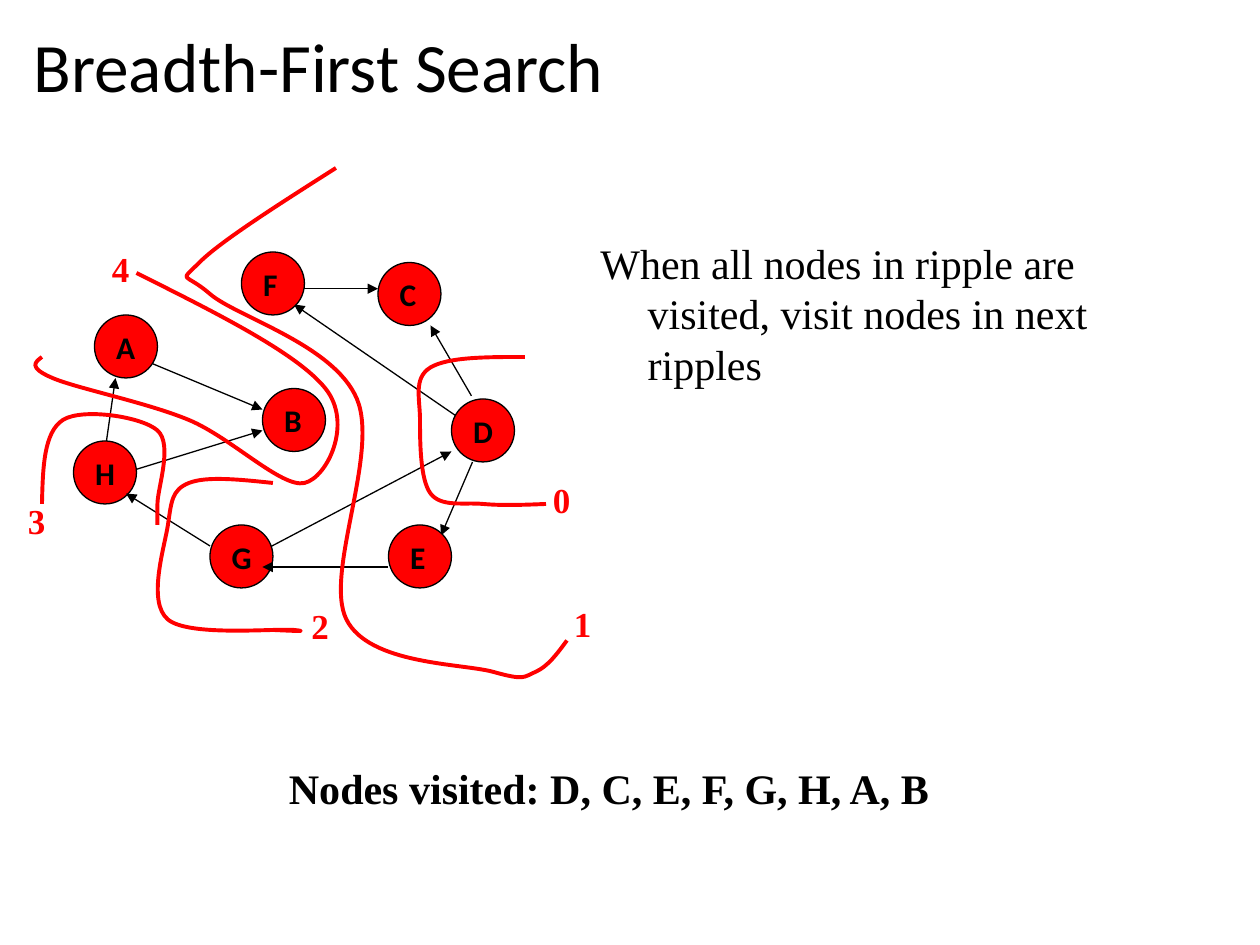
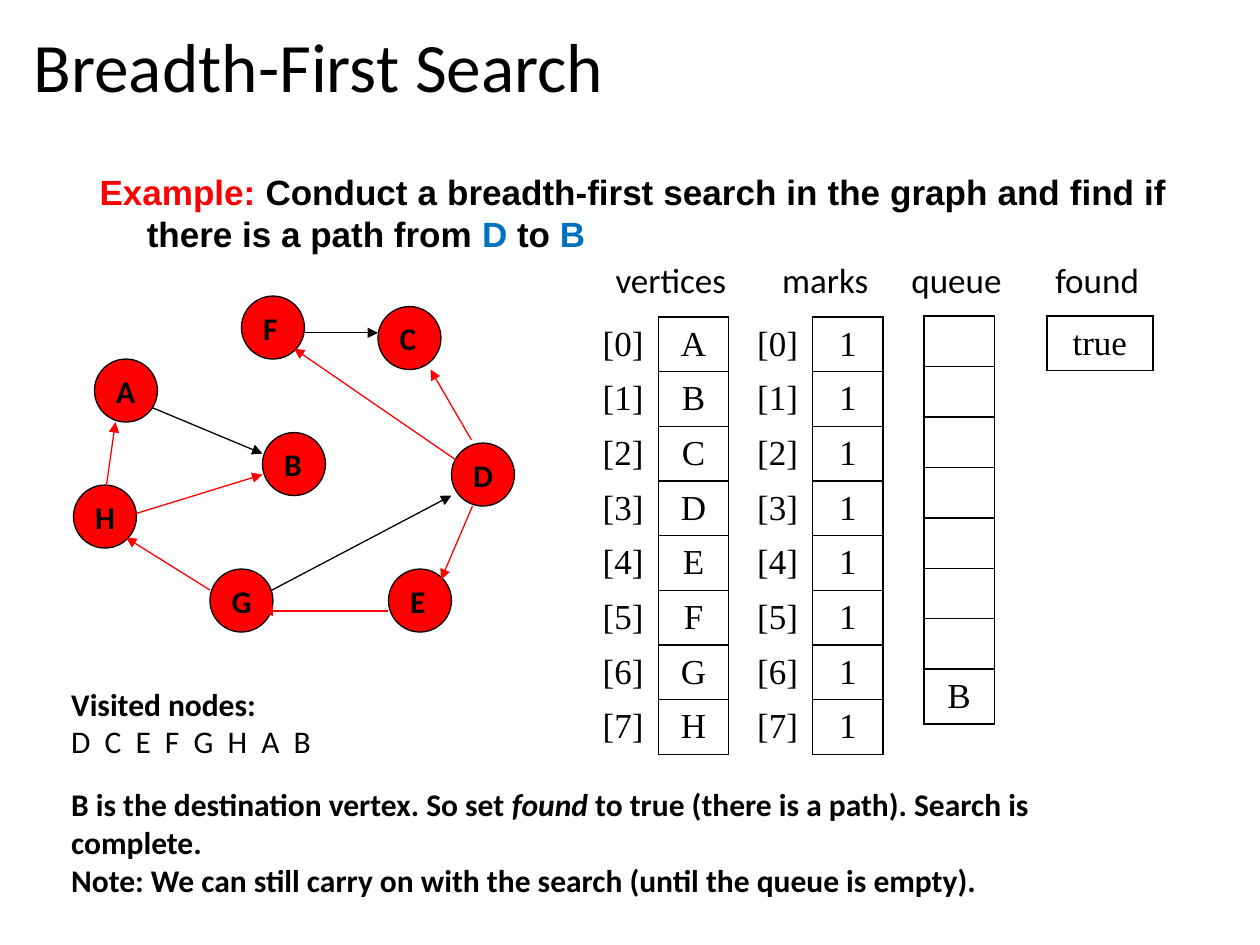
from dataclasses import dataclass
from typing import NamedTuple, Optional

from lxml.etree import SubElement
from pptx import Presentation
from pptx.dml.color import RGBColor
from pptx.enum.shapes import MSO_CONNECTOR as Connector, MSO_SHAPE as Shape
from pptx.enum.text import MSO_ANCHOR as Anchor, MSO_AUTO_SIZE as AutoSize, PP_ALIGN as Align
from pptx.oxml.ns import qn
from pptx.util import Emu, Inches, Pt

COLORS = {"ink": "000000", "red": "FF0000", "blue": "0070C0"}
SANS, SERIF, ARIAL = "Calibri", "Times New Roman", "Arial"
TITLE = "Breadth-First Search"
GRID = 12  # columns and rows to the inch
NODE_SIZE = 6
HANGING = 4.5
PLAIN_TABLE = "{2D5ABB26-0587-4C30-8999-92F81FD0307C}"


class Area(NamedTuple):
    column: float
    row: float
    columns: float
    rows: float


class Point(NamedTuple):
    column: float
    row: float


class Edge(NamedTuple):
    name: str
    start: Point
    end: Point


@dataclass
class Span:
    text: str
    color: Optional[str] = None
    bold: Optional[bool] = None
    italic: Optional[bool] = None
    spacing: float = 0


@dataclass
class Ripple:
    label: str
    corner: Point
    knots: list[Point]


NODES = {
    "A": Point(9, 30), "H": Point(7, 42), "B": Point(25, 37), "F": Point(23, 24),
    "E": Point(37, 50), "D": Point(43, 38), "C": Point(36, 25), "G": Point(20, 50),
}
EDGES = [
    Edge("DF", Point(44, 40), Point(28, 29)),
    Edge("DE", Point(45, 44), Point(42, 51)),
    Edge("HB", Point(12, 45), Point(25, 41)),
    Edge("GD", Point(24, 53), Point(43, 43)),
    Edge("HA", Point(10, 43), Point(11, 36)),
    Edge("AB", Point(13, 34), Point(25, 39)),
    Edge("DC", Point(44.9, 37.7), Point(41, 31)),
    Edge("EG", Point(37, 54), Point(25, 54)),
    Edge("GH", Point(20, 52), Point(12, 47)),
    Edge("FC", Point(29, 27.5), Point(36, 27.5)),
]
FRONT_EDGES = {"EG", "GH", "FC"}
SEARCH_EDGES = {"DF", "DE", "HB", "HA", "DC", "EG", "GH"}


def points(*pairs: tuple[float, float]) -> list[Point]:
    return [Point(*pair) for pair in pairs]


RIPPLES = [
    Ripple("0", Point(51, 45), points((50, 34), (41, 35), (40, 40), (41, 47), (46, 48), (52, 48))),
    Ripple("1", Point(53, 56.8), points((32, 16), (19, 25), (20, 28), (34, 38), (33, 59),
                                        (47, 64), (51, 64), (54, 61))),
    Ripple("2", Point(28, 57), points((26, 46), (18, 46), (16, 50), (16, 59), (28, 60), (26, 60))),
    Ripple("3", Point(1, 47), points((4, 48), (6, 40), (15, 41), (15, 48), (15, 50))),
    Ripple("4", Point(9, 23), points((13, 26), (31, 37), (29, 46), (18, 40), (5, 36), (4, 34))),
]


def units(count: float) -> Emu:
    return Inches(count / GRID)


def place(area: Area) -> list[Emu]:
    return [units(count) for count in area]


def rgb(name: str) -> RGBColor:
    return RGBColor.from_string(COLORS[name])


def write(frame, *lines, font=SANS, size=18, color="ink", bold=False,
          align=Align.LEFT, anchor=Anchor.TOP, hanging=0, line_spacing=None) -> None:
    """Fill a text frame; each line is a string or a list of spans."""
    frame.word_wrap = True
    frame.vertical_anchor = anchor
    for index, line in enumerate(lines):
        para = frame.add_paragraph() if index else frame.paragraphs[0]
        para.alignment = align
        if line_spacing:
            para.line_spacing = line_spacing
        if hanging:
            properties = para._p.get_or_add_pPr()
            properties.set("marL", str(units(hanging)))
            properties.set("indent", str(-units(hanging)))
        for span in [Span(line)] if isinstance(line, str) else line:
            run = para.add_run()
            run.text = span.text
            run.font.name, run.font.size = font, Pt(size)
            run.font.bold = bold if span.bold is None else span.bold
            run.font.italic = span.italic
            run.font.color.rgb = rgb(span.color or color)
            if span.spacing:
                run._r.get_or_add_rPr().set("spc", str(int(span.spacing * 100)))


def add_text(page, area: Area, *lines, **style) -> None:
    box = page.shapes.add_textbox(*place(area))
    write(box.text_frame, *lines, **style)
    box.text_frame.auto_size = AutoSize.SHAPE_TO_FIT_TEXT


def add_page(deck):
    page = deck.slides.add_slide(deck.slide_layouts[5])
    title = page.shapes.title
    title.left, title.top, title.width, title.height = place(Area(2, 2.2, 115.4, 8.9))
    write(title.text_frame, TITLE, size=39.6, anchor=Anchor.MIDDLE, line_spacing=0.9)
    return page


def add_arrow(page, edge: Edge, drop: float, color: str) -> None:
    ends = [units(count) for count in (edge.start.column, edge.start.row + drop,
                                       edge.end.column, edge.end.row + drop)]
    arrow = page.shapes.add_connector(Connector.STRAIGHT, *ends)
    arrow.line.color.rgb, arrow.line.width = rgb(color), Pt(0.75)
    SubElement(arrow.line._get_or_add_ln(), qn("a:tailEnd"), type="triangle")
    SubElement(arrow._element.spPr, qn("a:effectLst"))


def add_node(page, name: str, corner: Point, drop: float) -> None:
    area = Area(corner.column, corner.row + drop, NODE_SIZE, NODE_SIZE)
    node = page.shapes.add_shape(Shape.OVAL, *place(area))
    node.shadow.inherit = False
    node.fill.solid()
    node.fill.fore_color.rgb = rgb("red")
    node.line.color.rgb, node.line.width = rgb("ink"), Pt(0.75)
    write(node.text_frame, name, bold=True, anchor=Anchor.MIDDLE)


def add_graph(page, drop: float = 0, searched: frozenset | set = frozenset()) -> None:
    """Draw the graph moved down by drop rows, with the searched edges red."""
    front = FRONT_EDGES | searched
    for edge in EDGES:
        if edge.name not in front:
            add_arrow(page, edge, drop, "ink")
    for name, corner in NODES.items():
        add_node(page, name, corner, drop)
    for edge in EDGES:
        if edge.name in front:
            add_arrow(page, edge, drop, "red" if edge.name in searched else "ink")


def blend(first: Point, second: Point) -> Point:
    return Point((first.column + second.column) / 2, (first.row + second.row) / 2)


def smooth_points(knots: list[Point]) -> list[Point]:
    """Give two Bezier handles and an end for each step of a smooth curve through the knots."""
    slopes = [Point((after.column - before.column) / 6, (after.row - before.row) / 6)
              for before, after in zip(knots, knots[2:])]
    leaving = [Point(k.column + s.column, k.row + s.row) for k, s in zip(knots[1:], slopes)]
    arriving = [Point(k.column - s.column, k.row - s.row) for k, s in zip(knots[1:], slopes)]
    leaving.insert(0, blend(knots[0], arriving[0]))
    arriving.append(blend(leaving[-1], knots[-1]))
    return [point for step in zip(leaving, arriving, knots[1:]) for point in step]


def add_ripple(page, ripple: Ripple) -> None:
    start, *rest = [(units(p.column), units(p.row))
                    for p in [ripple.knots[0], *smooth_points(ripple.knots)]]
    builder = page.shapes.build_freeform(*start)
    builder.add_line_segments(rest, close=False)
    curve = builder.convert_to_shape()
    outline = next(curve._element.iter(qn("a:path")))
    steps = outline.findall(qn("a:lnTo"))
    for first in range(0, len(steps), 3):
        bezier = SubElement(outline, qn("a:cubicBezTo"))
        for step in steps[first:first + 3]:
            bezier.append(step[0])
            outline.remove(step)
    curve.shadow.inherit = False
    curve.fill.background()
    curve.line.color.rgb, curve.line.width = rgb("red"), Pt(2.25)
    add_text(page, Area(*ripple.corner, 5, 5.25), ripple.label, font=SERIF, size=20,
             color="red", bold=True, align=Align.CENTER, hanging=HANGING)


def set_borders(cell, sides: str) -> None:
    properties = cell._tc.get_or_add_tcPr()
    for index, side in enumerate(sides):
        line = SubElement(properties, qn(f"a:ln{side}"), w=str(Pt(1)))
        fill = SubElement(line, qn("a:solidFill"))
        SubElement(fill, qn("a:srgbClr"), val=COLORS["ink"])
        properties.insert(index, line)


def add_grid(page, corner: Point, rows: list[list[str]], width: float = 6.7) -> None:
    """Draw a table whose last column is boxed and whose other columns are bare."""
    count = len(rows[0])
    area = Area(*corner, width * count, 3.6 * len(rows))
    table = page.shapes.add_table(len(rows), count, *place(area)).table
    table.first_row = table.horz_banding = False
    table._tbl.tblPr.find(qn("a:tableStyleId")).text = PLAIN_TABLE
    for row_index, values in enumerate(rows):
        for column, value in enumerate(values):
            cell = table.cell(row_index, column)
            cell.fill.background()
            cell.vertical_anchor = Anchor.MIDDLE
            set_borders(cell, "LRTB" if column == count - 1 else "R")
            if value:
                para_style = dict(font=SERIF, size=20, align=Align.CENTER)
                write(cell.text_frame, value, anchor=Anchor.MIDDLE, **para_style)


def build_ripples_page(deck) -> None:
    page = add_page(deck)
    add_graph(page)
    for ripple in RIPPLES:
        add_ripple(page, ripple)
    style = dict(font=SERIF, size=24, hanging=HANGING)
    add_text(page, Area(20, 72, 76, 6), "Nodes visited: D, C, E, F, G, H, A, B",
             bold=True, align=Align.CENTER, **style)
    add_text(page, Area(56, 22, 50, 15.7),
             "When all nodes in ripple are visited, visit nodes in next ripples", **style)


def build_example_page(deck) -> None:
    page = add_page(deck)
    add_graph(page, drop=4.2, searched=SEARCH_EDGES)
    add_text(page, Area(8.3, 15.6, 104, 9.2),
             [Span("Example:", color="red"),
              Span(" Conduct a breadth-first search in the graph and find if there is a path from "),
              Span("D", color="blue"), Span(" to "), Span("B", color="blue")],
             font=ARIAL, size=20, bold=True, align=Align.JUSTIFY, hanging=HANGING)

    headings = {"vertices": (56.6, 14.6), "marks": (72.5, 12.2),
                "queue": (85, 12.2), "found": (98.4, 12.2)}
    for heading, (column, width) in headings.items():
        add_text(page, Area(column, 24, width, 5.25), heading, size=20, align=Align.CENTER)
    vertices = sorted(NODES)
    add_grid(page, Point(56, 30.2), [[f"[{i}]", name] for i, name in enumerate(vertices)])
    add_grid(page, Point(70.7, 30.2), [[f"[{i}]", "1"] for i in range(len(vertices))])
    add_grid(page, Point(88, 30.1), [[""]] * 7 + [["B"]])
    add_grid(page, Point(99.7, 30.1), [["true"]], width=10.1)

    add_text(page, Area(5.6, 64.6, 47.3, 8.5), [Span("Visited nodes:", bold=True)],
             [Span("D C E F G H A B", spacing=2)])
    add_text(page, Area(5.6, 74.2, 105.4, 12.1),
             [Span("B is the destination vertex. So set "), Span("found", italic=True),
              Span(" to true (there is a path). Search is complete.")],
             "Note: We can still carry on with the search (until the queue is empty).",
             bold=True)


def main() -> None:
    deck = Presentation()
    deck.slide_width, deck.slide_height = Inches(10), Inches(7.5)
    build_ripples_page(deck)
    build_example_page(deck)
    deck.save("out.pptx")


if __name__ == "__main__":
    main()
